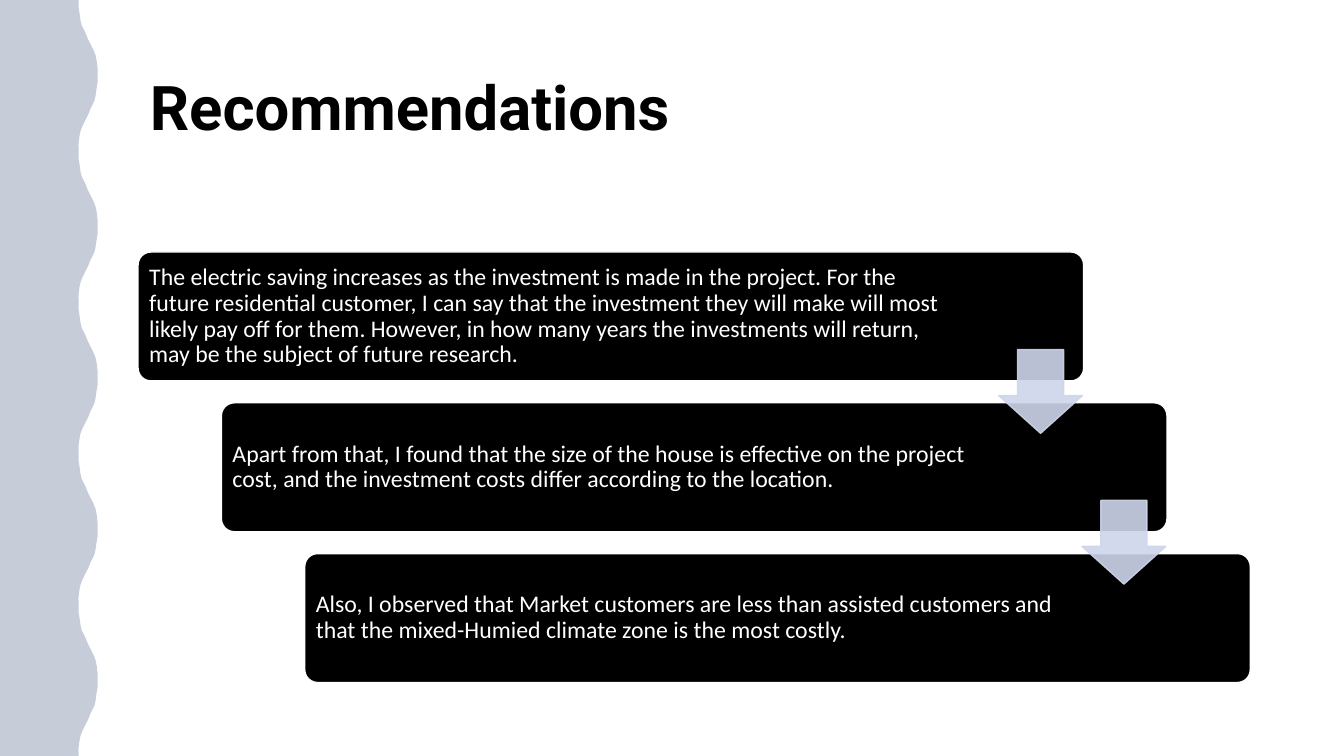
from dataclasses import dataclass

from lxml.etree import SubElement
from pptx import Presentation
from pptx.dml.color import RGBColor
from pptx.enum.shapes import MSO_SHAPE
from pptx.enum.text import MSO_ANCHOR
from pptx.oxml.ns import qn
from pptx.util import Cm, Pt

SLIDE_W, SLIDE_H = 33.87, 19.05
STEP_X, STEP_Y = 2.1, 3.8
CARD_W, CARD_H = 23.83, 3.25
CARD_PAD = 0.1
ARROW_SIZE = 2.11

# Wave edge from trough to crest: (x, y) in cm
HALF_WAVE = [
    (1.98, 0), (1.98, 0.18), (2.01, 0.36), (2.03, 0.51), (2.06, 0.64),
    (2.11, 0.74), (2.16, 0.84), (2.21, 0.97), (2.26, 1.07), (2.31, 1.17),
    (2.36, 1.27), (2.41, 1.4), (2.44, 1.55), (2.46, 1.73),
]
TROUGH, CREST = 1.98, 2.46
HALF_WAVES = 10


@dataclass
class Card:
    text: str
    text_w: float


CARDS = [
    Card("The electric saving increases as the investment is made in the project. "
         "For the future residential customer, I can say that the investment they "
         "will make will most likely pay off for them. However, in how many years "
         "the investments will return, may be the subject of future research.", 20.29),
    Card("Apart from that, I found that the size of the house is effective on the "
         "project cost, and the investment costs differ according to the location.", 19.41),
    Card("Also, I observed that Market customers are less than assisted customers "
         "and that the mixed-Humied climate zone is the most costly.", 19.41),
]


def rgb(color: str) -> RGBColor:
    return RGBColor.from_string(color)


def set_alpha(fill_parent, percent: int) -> None:
    color = fill_parent.find(qn("a:solidFill"))[0]
    SubElement(color, qn("a:alpha")).set("val", str(percent * 1000))


def paint(sp, fill: str, line: str | None = None, alpha: int = 100) -> None:
    sp.shadow.inherit = False
    sp.fill.solid()
    sp.fill.fore_color.rgb = rgb(fill)
    if line:
        sp.line.color.rgb = rgb(line)
        sp.line.width = Pt(1)
    else:
        sp.line.fill.background()
    if alpha < 100:
        props = sp._element.spPr
        set_alpha(props, alpha)
        if line:
            set_alpha(props.find(qn("a:ln")), alpha)


def add_text(s, text: str, x: float, y: float, w: float, h: float, font: str,
             size: int, color: str, bold: bool = False,
             anchor: MSO_ANCHOR = MSO_ANCHOR.TOP, inset: float | None = None) -> None:
    tf = s.shapes.add_textbox(Cm(x), Cm(y), Cm(w), Cm(h)).text_frame
    tf.word_wrap = True
    tf.vertical_anchor = anchor
    if inset is not None:
        tf.margin_left = tf.margin_right = Cm(inset)
        tf.margin_top = tf.margin_bottom = Cm(inset)
    p = tf.paragraphs[0]
    p.line_spacing = 0.9
    r = p.add_run()
    r.text = text
    r.font.name, r.font.size, r.font.bold = font, Pt(size), bold
    r.font.color.rgb = rgb(color)


def add_wave_band(s) -> None:
    half_h = SLIDE_H / HALF_WAVES
    edge = [(TROUGH + CREST - x if i % 2 else x, i * half_h + y)
            for i in range(HALF_WAVES) for x, y in HALF_WAVE]
    outline = edge + [(TROUGH, SLIDE_H), (0, SLIDE_H)]
    fb = s.shapes.build_freeform(0, 0)
    fb.add_line_segments([(Cm(x), Cm(y)) for x, y in outline], close=True)
    paint(fb.convert_to_shape(), "203864", alpha=25)


def add_card(s, card: Card, i: int) -> None:
    x, y = 3.48 + i * STEP_X, 6.35 + i * STEP_Y
    sp = s.shapes.add_shape(MSO_SHAPE.ROUNDED_RECTANGLE,
                            Cm(x), Cm(y), Cm(CARD_W), Cm(CARD_H))
    sp.adjustments[0] = 0.1
    paint(sp, "000000", line="FFFFFF")
    add_text(s, card.text, x + CARD_PAD, y + CARD_PAD, card.text_w,
             CARD_H - 2 * CARD_PAD, "Calibri", 17, "FFFFFF",
             anchor=MSO_ANCHOR.MIDDLE, inset=0.18)


def add_arrow(s, i: int) -> None:
    sp = s.shapes.add_shape(MSO_SHAPE.DOWN_ARROW,
                            Cm(25.17 + i * STEP_X), Cm(8.81 + i * STEP_Y),
                            Cm(ARROW_SIZE), Cm(ARROW_SIZE))
    sp.adjustments[0], sp.adjustments[1] = 0.55, 0.45
    paint(sp, "CFD5EA", line="CFD5EA", alpha=90)


def main() -> None:
    prs = Presentation()
    prs.slide_width, prs.slide_height = Cm(SLIDE_W), Cm(SLIDE_H)
    s = prs.slides.add_slide(prs.slide_layouts[6])

    # Title and side band
    add_text(s, "Recommendations", 3.53, 1.83, 27.94, 3.68,
             "Roboto", 44, "000000", bold=True)
    add_wave_band(s)

    # Staircase of cards, with arrows on top
    for i, card in enumerate(CARDS):
        add_card(s, card, i)
    for i in range(len(CARDS) - 1):
        add_arrow(s, i)

    prs.save("out.pptx")


if __name__ == "__main__":
    main()
